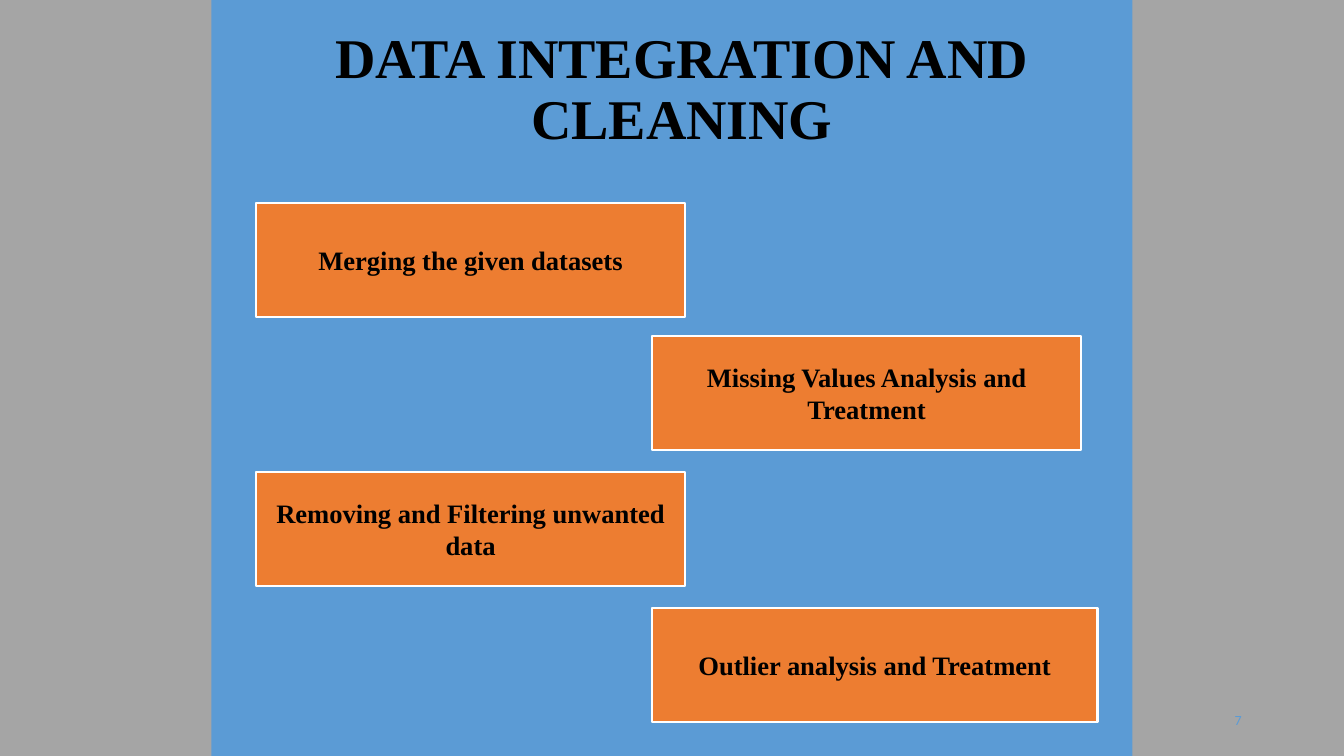
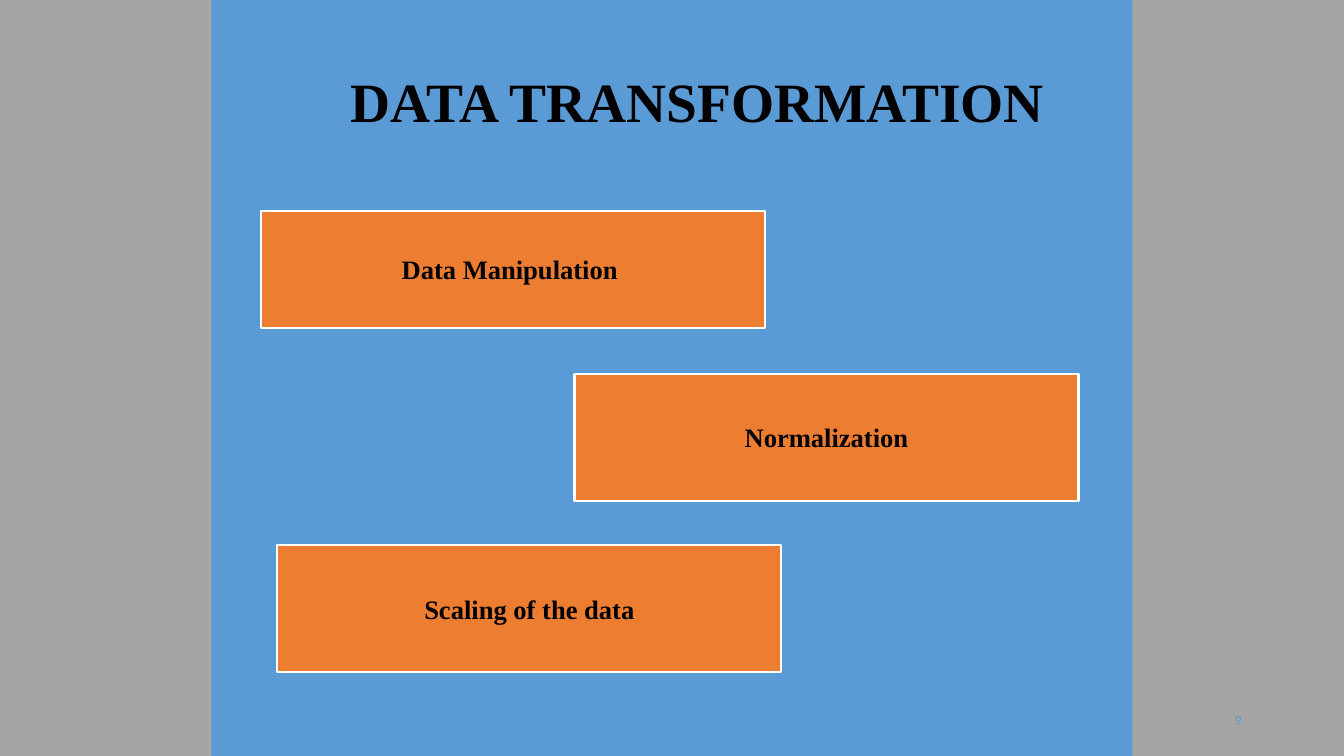
"""Build two slides on data preparation steps."""
import dataclasses

import pptx
import pptx.dml.color
import pptx.enum.shapes
import pptx.enum.text
import pptx.util

Cm = pptx.util.Cm
Pt = pptx.util.Pt
RGB = pptx.dml.color.RGBColor
ALIGN = pptx.enum.text.PP_ALIGN
ANCHOR = pptx.enum.text.MSO_ANCHOR
RECTANGLE = pptx.enum.shapes.MSO_SHAPE.RECTANGLE


@dataclasses.dataclass(frozen=True)
class Theme:
    """Colours, fonts and sizes shared by the slides."""
    background: RGB = RGB(0x5B, 0x9B, 0xD5)
    band: RGB = RGB(0xA5, 0xA5, 0xA5)
    step: RGB = RGB(0xED, 0x7D, 0x31)
    outline: RGB = RGB(0xFF, 0xFF, 0xFF)
    text: RGB = RGB(0, 0, 0)
    font: str = "Times New Roman"
    number_font: str = "Calibri"
    step_size: float = 19
    number_size: float = 10
    outline_width: float = 1.5


THEME = Theme()
WIDTH, HEIGHT, BAND = 33.87, 19.05, 5.33

SLIDES = [
    {
        "title": "DATA INTEGRATION AND CLEANING",
        "title_box": (4.42, 0, 25.53, 3.94),
        "title_size": 40,
        "number": "7",
        "steps": [
            ("Merging the given datasets", (6.45, 5.11, 10.82, 2.87)),
            ("Missing Values Analysis and Treatment", (16.43, 8.46, 10.82, 2.87)),
            ("Removing and Filtering unwanted data", (6.45, 11.89, 10.82, 2.87)),
            ("Outlier analysis and Treatment", (16.43, 15.32, 11.23, 2.87)),
        ],
    },
    {
        "title": "DATA TRANSFORMATION",
        "title_box": (7.98, 1.22, 19.2, 2.29),
        "title_size": 39.6,
        "number": "9",
        "steps": [
            ("Data Manipulation ", (6.58, 5.31, 12.7, 2.95)),
            ("Normalization", (14.48, 9.42, 12.7, 3.2)),
            ("Scaling of the data", (6.99, 13.74, 12.7, 3.2)),
        ],
    },
]


def write(sp, text, size, anchor=ANCHOR.MIDDLE, align=ALIGN.CENTER,
          font=THEME.font, color=THEME.text, bold=True):
    """Put one styled paragraph into a shape and return it."""
    tf = sp.text_frame
    tf.word_wrap = True
    tf.vertical_anchor = anchor
    p = tf.paragraphs[0]
    p.text = text
    p.alignment = align
    p.font.name = font
    p.font.size = Pt(size)
    p.font.bold = bold
    p.font.color.rgb = color
    return p


def add_rect(s, box, fill):
    """Add a flat rectangle without outline."""
    sp = s.shapes.add_shape(RECTANGLE, *map(Cm, box))
    sp.shadow.inherit = False
    sp.fill.solid()
    sp.fill.fore_color.rgb = fill
    sp.line.fill.background()
    return sp


def add_step(s, text, box):
    """Add an outlined box that names one step."""
    sp = add_rect(s, box, THEME.step)
    sp.line.color.rgb = THEME.outline
    sp.line.width = Pt(THEME.outline_width)
    write(sp, text, THEME.step_size)


def add_title(s, text, box, size):
    """Add the slide title, resting on the bottom of its box."""
    sp = s.shapes.add_textbox(*map(Cm, box))
    write(sp, text, size, anchor=ANCHOR.BOTTOM).line_spacing = 0.9


def add_number(s, number):
    """Add the page number in the right band."""
    sp = s.shapes.add_textbox(Cm(WIDTH - BAND), Cm(17.63), Cm(3), Cm(1.02))
    write(sp, number, THEME.number_size, align=ALIGN.RIGHT,
          font=THEME.number_font, color=THEME.background, bold=False)


def add_base(prs):
    """Add a blank slide with the background and both side bands."""
    s = prs.slides.add_slide(prs.slide_layouts[6])
    s.background.fill.solid()
    s.background.fill.fore_color.rgb = THEME.background
    for left in (0, WIDTH - BAND):
        add_rect(s, (left, 0, BAND, HEIGHT), THEME.band)
    return s


def main():
    """Build and save the presentation."""
    prs = pptx.Presentation()
    prs.slide_width = Cm(WIDTH)
    prs.slide_height = Cm(HEIGHT)
    for content in SLIDES:
        s = add_base(prs)
        add_title(s, content["title"], content["title_box"], content["title_size"])
        for text, box in content["steps"]:
            add_step(s, text, box)
        add_number(s, content["number"])
    prs.save("out.pptx")


if __name__ == "__main__":
    main()
